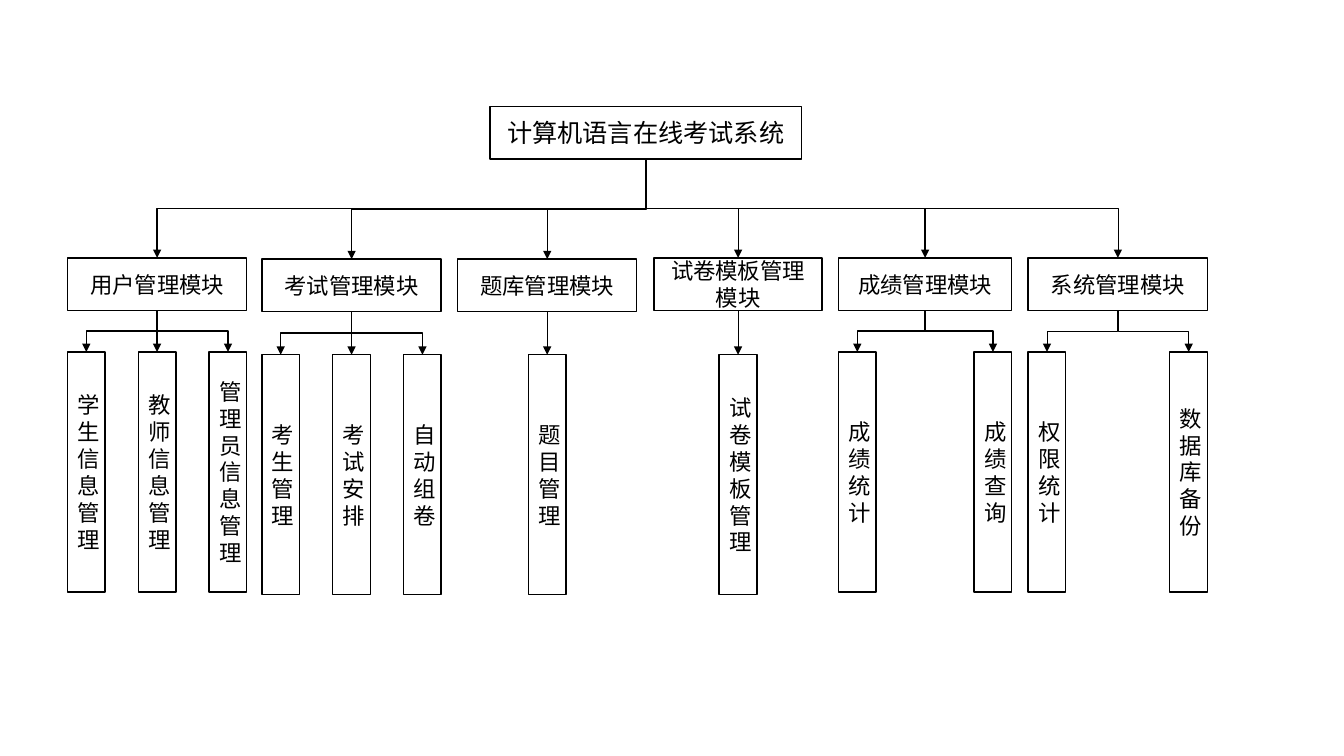
from pptx import Presentation
from pptx.dml.color import RGBColor
from pptx.enum.shapes import MSO_CONNECTOR, MSO_SHAPE
from pptx.enum.text import MSO_ANCHOR, PP_ALIGN
from pptx.oxml.ns import qn
from pptx.oxml.xmlchemy import OxmlElement
from pptx.util import Cm, Pt

BLACK = RGBColor(0x00, 0x00, 0x00)
WHITE = RGBColor(0xFF, 0xFF, 0xFF)
RECTANGLE = MSO_SHAPE.RECTANGLE
STRAIGHT, ELBOW = MSO_CONNECTOR.STRAIGHT, MSO_CONNECTOR.ELBOW
CENTER, MIDDLE = PP_ALIGN.CENTER, MSO_ANCHOR.MIDDLE
BOTTOM_SIDE, TOP_SIDE = 2, 0

FRAME_FORMAT = {"word_wrap": True, "vertical_anchor": MIDDLE}
BOX_HEIGHT = Cm(1.32)
FUNCTION_WIDTH, FUNCTION_HEIGHT = Cm(0.95), Cm(6.05)

prs = Presentation()
prs.slide_width, prs.slide_height = Cm(33.87), Cm(19.05)
slide = prs.slides.add_slide(prs.slide_layouts[6])


def add_box(text, left, top, width, height, size):
    box = slide.shapes.add_shape(RECTANGLE, left, top, width, height)
    box.shadow.inherit = False
    box.fill.solid()
    box.fill.fore_color.rgb = WHITE
    box.line.color.rgb = BLACK
    box.line.width = Pt(1)
    frame = box.text_frame
    for attribute, value in FRAME_FORMAT.items():
        setattr(frame, attribute, value)
    frame.text = text
    for paragraph in frame.paragraphs:
        paragraph.alignment = CENTER
        for attribute, value in {"name": "Calibri", "size": Pt(size)}.items():
            setattr(paragraph.font, attribute, value)
        paragraph.font.color.rgb = BLACK
    return box


def add_arrow(parent, child, weight):
    x1, y1 = parent.left + parent.width // 2, parent.top + parent.height
    x2, y2 = child.left + child.width // 2, child.top
    run, drop = abs(x2 - x1), y2 - y1
    bent = run > Cm(0.05)
    arrow = slide.shapes.add_connector(ELBOW if bent else STRAIGHT, x1, y1, x2, y2)
    arrow.begin_connect(parent, BOTTOM_SIDE)
    arrow.end_connect(child, TOP_SIDE)
    properties = arrow.element.spPr
    if bent:
        # Turn the elbow so that it leaves downwards
        arrow.left, arrow.top = (x1 + x2 - drop) // 2, (y1 + y2 - run) // 2
        arrow.width, arrow.height = drop, run
        leftward = x2 < x1
        turn = properties.find(qn("a:xfrm"))
        turn.set("rot", "5400000" if leftward else "16200000")
        turn.set("flipH", "0" if leftward else "1")
    arrow.line.color.rgb = BLACK
    arrow.line.width = Pt(weight)
    head = OxmlElement("a:tailEnd")
    head.set("type", "triangle")
    properties.find(qn("a:ln")).append(head)
    properties.append(OxmlElement("a:effectLst"))


# System at the top
system = add_box("计算机语言在线考试系统", Cm(12.35), Cm(2.69), Cm(7.85), BOX_HEIGHT, 18)

# Module: name, left, top, width, top of functions, weight above, weight below, functions
MODULES = [
    ("用户管理模块", 1.7, 6.5, 4.52, 8.87, 1, 1,
     ["学生信息管理", "教师信息管理", "管理员信息管理"]),
    ("考试管理模块", 6.6, 6.53, 4.52, 8.94, 1, 1, ["考生管理", "考试安排", "自动组卷"]),
    ("题库管理模块", 11.53, 6.53, 4.52, 8.94, 1, 0.5, ["题目管理"]),
    ("试卷模板管理模块", 16.48, 6.5, 4.24, 8.94, 0.5, 0.5, ["试卷模板\n管理"]),
    ("成绩管理模块", 21.13, 6.5, 4.37, 8.87, 1, 1, ["成绩统计", "成绩查询"]),
    ("系统管理模块", 25.91, 6.5, 4.52, 8.87, 0.5, 0.5, ["权限统计", "数据库备份"]),
]

for name, left, top, width, function_top, weight_above, weight_below, functions in MODULES:
    module = add_box(name, Cm(left), Cm(top), Cm(width), BOX_HEIGHT, 16)
    add_arrow(system, module, weight_above)

    # Functions spread across the module width; a single one is centred
    spare = module.width - FUNCTION_WIDTH
    for index, label in enumerate(functions):
        share = index / (len(functions) - 1) if len(functions) > 1 else 0.5
        function = add_box(label, module.left + int(spare * share), Cm(function_top),
                           FUNCTION_WIDTH, FUNCTION_HEIGHT, 16)
        add_arrow(module, function, weight_below)

prs.save("out.pptx")
